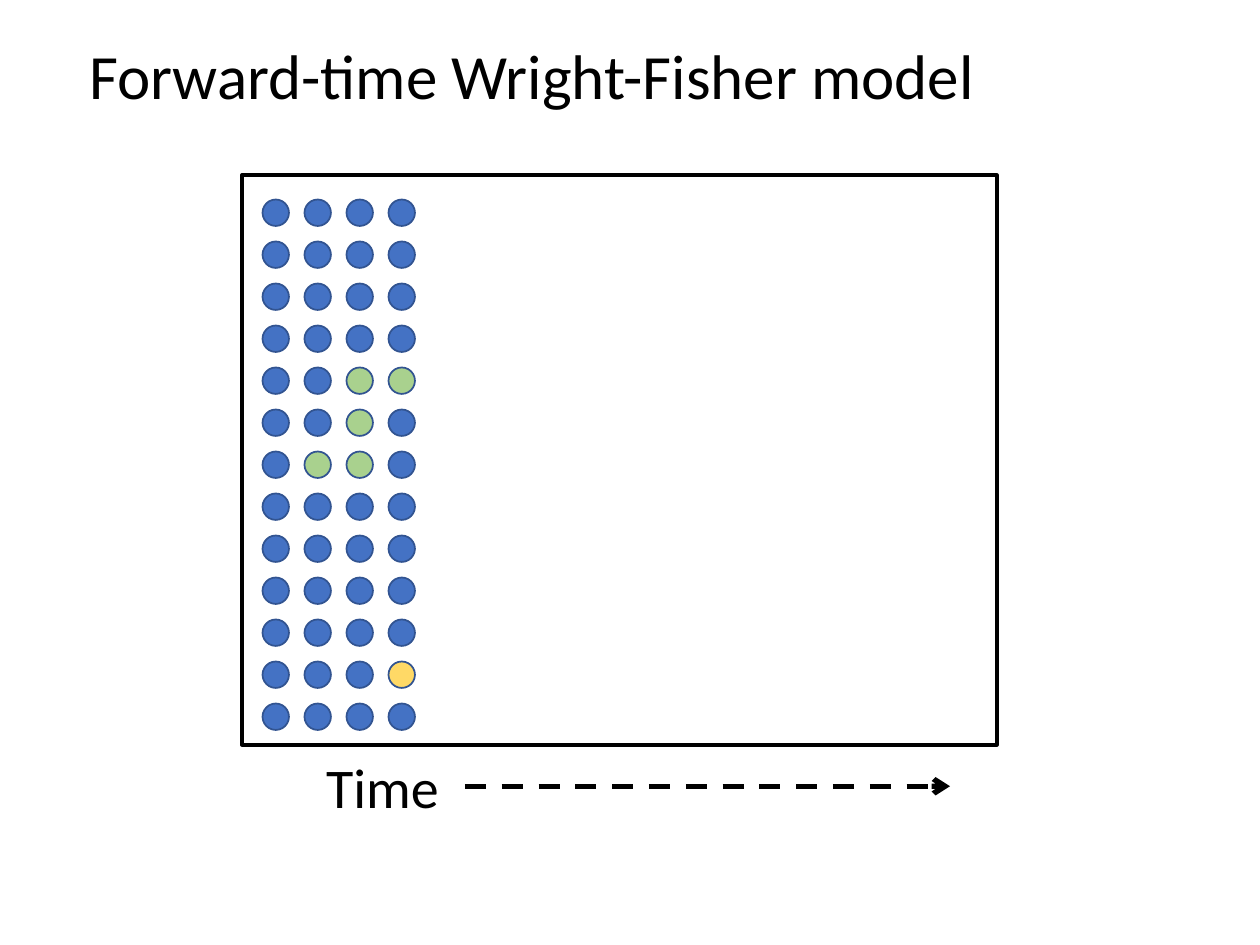
from typing import NamedTuple

from lxml.etree import SubElement
from pptx import Presentation
from pptx.dml.color import RGBColor
from pptx.enum.dml import MSO_LINE
from pptx.enum.shapes import MSO_CONNECTOR, MSO_SHAPE
from pptx.enum.text import MSO_ANCHOR, MSO_AUTO_SIZE
from pptx.oxml.ns import qn
from pptx.util import Inches, Pt

COLORS = {
    "ink": "000000",
    "outline": "325491",
    "ancestral": "4472C4",
    "green": "A9D18E",
    "yellow": "FFD966",
}

# The slide is a grid of 30 columns by 22.5 rows of square cells
CELL = 10 / 30
GENERATIONS, POPULATION = 4, 13
DOT = 0.63

# Mutant individuals by (generation, position)
MUTANTS = {
    (1, 6): "green",
    (2, 4): "green",
    (2, 5): "green",
    (2, 6): "green",
    (3, 4): "green",
    (3, 11): "yellow",
}


class Box(NamedTuple):
    col: float
    row: float
    cols: float
    rows: float

    def lengths(self) -> list[int]:
        return [cells(n) for n in self]


class Label(NamedTuple):
    text: str
    box: Box
    size: int
    anchor: MSO_ANCHOR
    autosize: MSO_AUTO_SIZE
    spacing: float


TITLE = Label("Forward-time Wright-Fisher model", Box(1.83, 0.63, 25.86, 2.49),
              36, MSO_ANCHOR.MIDDLE, MSO_AUTO_SIZE.NONE, 0.9)
TIME = Label("Time", Box(7.47, 17.76, 3.6, 1.92),
             32, MSO_ANCHOR.TOP, MSO_AUTO_SIZE.SHAPE_TO_FIT_TEXT, 1.0)
FRAME = Box(5.76, 4.17, 17.97, 13.56)
FIRST_DOT = Box(6.25, 4.75, DOT, DOT)
ARROW_END = 22.62


def cells(n: float) -> int:
    return Inches(n * CELL)


def color(name: str) -> RGBColor:
    return RGBColor.from_string(COLORS[name])


def add_label(s, label: Label):
    tb = s.shapes.add_textbox(*label.box.lengths())
    tf = tb.text_frame
    tf.word_wrap = True
    tf.auto_size = label.autosize
    tf.vertical_anchor = label.anchor
    p = tf.paragraphs[0]
    p.text = label.text
    p.line_spacing = label.spacing
    p.font.name = "Calibri"
    p.font.size = Pt(label.size)
    p.font.color.rgb = color("ink")
    return tb


def add_outlined(s, kind: MSO_SHAPE, box: Box, line: str, width: float,
                 fill: str | None = None) -> None:
    sp = s.shapes.add_shape(kind, *box.lengths())
    sp.shadow.inherit = False
    if fill:
        sp.fill.solid()
        sp.fill.fore_color.rgb = color(fill)
    else:
        sp.fill.background()
    sp.line.color.rgb = color(line)
    sp.line.width = Pt(width)


def add_time_arrow(s, label, end: float) -> None:
    y = label.top + label.height // 2
    arrow = s.shapes.add_connector(
        MSO_CONNECTOR.STRAIGHT, label.left + label.width, y, cells(end), y)
    arrow.begin_connect(label, 3)
    arrow.line.color.rgb = color("ink")
    arrow.line.width = Pt(3)
    arrow.line.dash_style = MSO_LINE.DASH
    SubElement(arrow.line._get_or_add_ln(), qn("a:tailEnd"), type="arrow")
    SubElement(arrow._element.spPr, qn("a:effectLst"))


def main() -> None:
    prs = Presentation()
    prs.slide_width, prs.slide_height = Inches(10), Inches(7.5)
    s = prs.slides.add_slide(prs.slide_layouts[6])

    # Title, time axis and frame
    add_label(s, TITLE)
    time_label = add_label(s, TIME)
    add_outlined(s, MSO_SHAPE.RECTANGLE, FRAME, "ink", 2.25)
    add_time_arrow(s, time_label, ARROW_END)

    # One column of individuals per generation
    for generation in range(GENERATIONS):
        for position in range(POPULATION):
            dot = FIRST_DOT._replace(col=FIRST_DOT.col + generation,
                                     row=FIRST_DOT.row + position)
            allele = MUTANTS.get((generation, position), "ancestral")
            add_outlined(s, MSO_SHAPE.OVAL, dot, "outline", 1, allele)

    prs.save("out.pptx")


if __name__ == "__main__":
    main()
